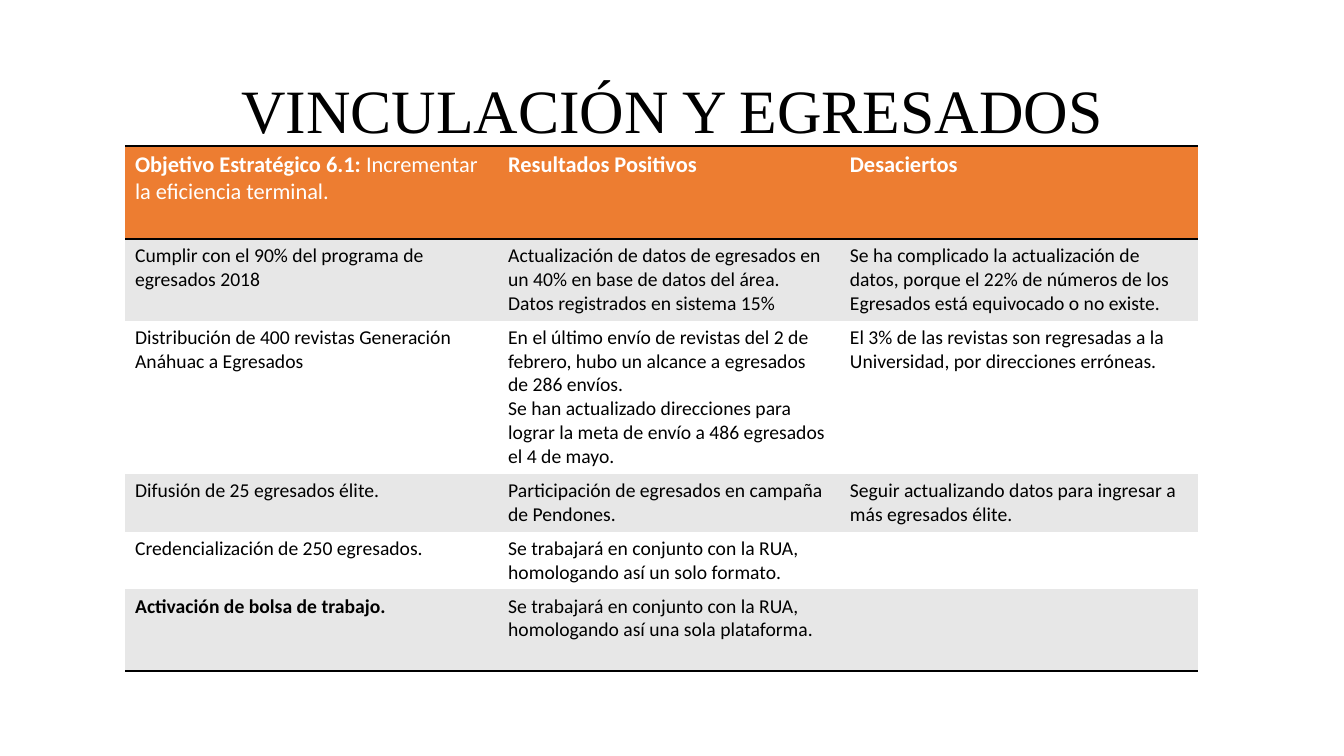
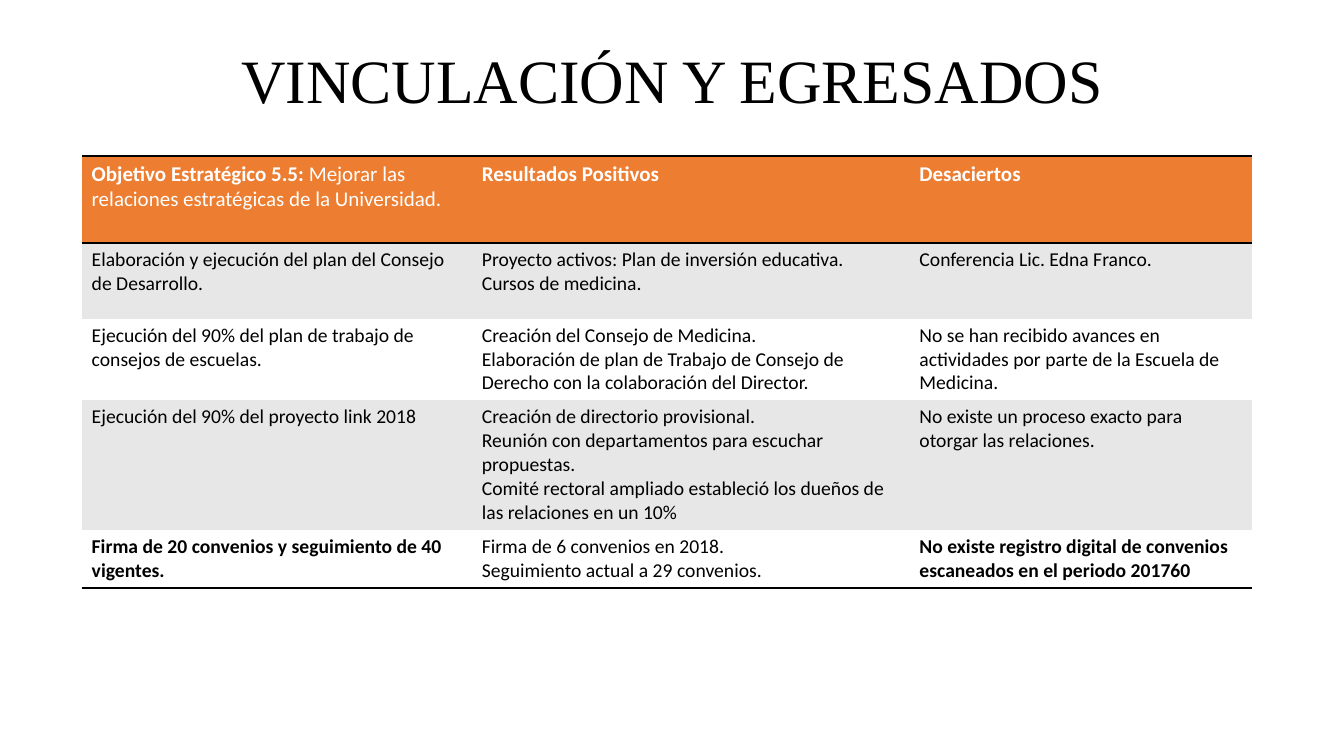
import pptx
import pptx.dml.color
import pptx.enum.text
import pptx.oxml
import pptx.oxml.ns
import pptx.util
from pptx.util import Inches

TITLE = "VINCULACIÓN Y EGRESADOS"
NO_STYLE = "{2D5ABB26-0587-4C30-8999-92F81FD0307C}"


def color(value):
    return pptx.dml.color.RGBColor.from_string(value)


class Deck:
    TITLE_FONT = "Times New Roman"
    BODY_FONT = "Calibri"
    BLACK = "000000"
    WHITE = "FFFFFF"
    ORANGE = "ED7D31"
    GRAY = "E7E7E7"

    def __init__(self):
        self.presentation = pptx.Presentation()
        self.presentation.slide_width = Inches(13.33)
        self.presentation.slide_height = Inches(7.5)
        self.slide = None

    def add_slide(self):
        layout = self.presentation.slide_layouts[5]
        self.slide = self.presentation.slides.add_slide(layout)

    def format_run(self, run, font, size, text_color, bold=False):
        run.font.name = font
        run.font.size = pptx.util.Pt(size)
        run.font.color.rgb = color(text_color)
        run.font.bold = bold

    def add_title(self, text, top):
        shape = self.slide.shapes.title
        shape.left, shape.top = Inches(0.92), Inches(top)
        shape.width, shape.height = Inches(11.5), Inches(1.45)
        text_frame = shape.text_frame
        text_frame.text = text
        text_frame.vertical_anchor = pptx.enum.text.MSO_ANCHOR.MIDDLE
        paragraph = text_frame.paragraphs[0]
        paragraph.alignment = pptx.enum.text.PP_ALIGN.CENTER
        paragraph.line_spacing = 0.9
        self.format_run(paragraph.runs[0], self.TITLE_FONT, 44, self.BLACK)

    def add_border(self, cell, side):
        properties = cell._tc.get_or_add_tcPr()
        properties.append(pptx.oxml.parse_xml(
            f'<a:ln{side} {pptx.oxml.ns.nsdecls("a")} w="{pptx.util.Pt(2)}">'
            f'<a:solidFill><a:srgbClr val="{self.BLACK}"/></a:solidFill>'
            f'</a:ln{side}>'))

    def fill_cell(self, cell, fill):
        cell.fill.solid()
        cell.fill.fore_color.rgb = color(fill)

    def write_cell(self, cell, text, size, text_color, bold):
        cell.text_frame.text = text
        for paragraph in cell.text_frame.paragraphs:
            for run in paragraph.runs:
                self.format_run(run, self.BODY_FONT, size, text_color, bold)

    def add_table(self, left, top, widths, heights, objective, header_size, rows, bold_cells):
        frame = self.slide.shapes.add_table(
            len(heights), len(widths), Inches(left), Inches(top),
            Inches(sum(widths)), Inches(sum(heights)))
        table = frame.table
        table._tbl.tblPr.find(pptx.oxml.ns.qn("a:tableStyleId")).text = NO_STYLE
        for column, width in zip(table.columns, widths):
            column.width = Inches(width)
        for row, height in zip(table.rows, heights):
            row.height = Inches(height)

        label, goal = objective
        header = [label, "Resultados Positivos", "Desaciertos"]
        for row_index, texts in enumerate([header] + rows):
            is_header = row_index == 0
            for column_index, text in enumerate(texts):
                cell = table.cell(row_index, column_index)
                if is_header:
                    self.add_border(cell, "T")
                if is_header or row_index == len(rows):
                    self.add_border(cell, "B")
                if is_header:
                    self.fill_cell(cell, self.ORANGE)
                    self.write_cell(cell, text, header_size, self.WHITE, True)
                else:
                    self.fill_cell(cell, self.GRAY if row_index % 2 else self.WHITE)
                    bold = (row_index, column_index) in bold_cells
                    self.write_cell(cell, text, 14, self.BLACK, bold)

        goal_run = table.cell(0, 0).text_frame.paragraphs[0].add_run()
        goal_run.text = goal
        self.format_run(goal_run, self.BODY_FONT, header_size, self.WHITE)

    def save(self):
        self.presentation.save("out.pptx")


def main():
    deck = Deck()

    deck.add_slide()
    deck.add_title(TITLE, 0.4)
    deck.add_table(
        1.24, 1.45, [3.7, 3.39, 3.55], [0.92, 0.81, 1.52, 0.57, 0.57, 0.81],
        ("Objetivo Estratégico 6.1: ", "Incrementar la eficiencia terminal."), 16,
        [
            ["Cumplir con el 90% del programa de egresados 2018",
             "Actualización de datos de egresados en un 40% en base de datos del área.\n"
             "Datos registrados en sistema 15%",
             "Se ha complicado la actualización de datos, porque el 22% de números de los "
             "Egresados está equivocado o no existe."],
            ["Distribución de 400 revistas Generación Anáhuac a Egresados",
             "En el último envío de revistas del 2 de febrero, hubo un alcance a egresados "
             "de 286 envíos.\n"
             "Se han actualizado direcciones para lograr la meta de envío a 486 egresados "
             "el 4 de mayo.",
             "El 3% de las revistas son regresadas a la Universidad, por direcciones erróneas."],
            ["Difusión de 25 egresados élite.",
             "Participación de egresados en campaña de Pendones.",
             "Seguir actualizando datos para ingresar a más egresados élite."],
            ["Credencialización de 250 egresados.",
             "Se trabajará en conjunto con la RUA, homologando así un solo formato.",
             ""],
            ["Activación de bolsa de trabajo.",
             "Se trabajará en conjunto con la RUA, homologando así una sola plataforma.",
             ""],
        ],
        {(5, 0)})

    deck.add_slide()
    deck.add_title(TITLE, 0.1)
    deck.add_table(
        0.81, 1.55, [3.87, 4.34, 3.4], [0.86, 0.75, 0.81, 1.29, 0.57],
        ("Objetivo Estratégico 5.5: ",
         "Mejorar las relaciones estratégicas de la Universidad."), 15,
        [
            ["Elaboración y ejecución del plan del Consejo de Desarrollo.",
             "Proyecto activos: Plan de inversión educativa.\nCursos de medicina.",
             "Conferencia Lic. Edna Franco."],
            ["Ejecución del 90% del plan de trabajo de consejos de escuelas.",
             "Creación del Consejo de Medicina.\n"
             "Elaboración de plan de Trabajo de Consejo de Derecho con la colaboración "
             "del Director.",
             "No se han recibido avances en actividades por parte de la Escuela de Medicina."],
            ["Ejecución del 90% del proyecto link 2018",
             "Creación de directorio provisional.\n"
             "Reunión con departamentos para escuchar propuestas.\n"
             "Comité rectoral ampliado estableció los dueños de las relaciones en un 10%",
             "No existe un proceso exacto para otorgar las relaciones."],
            ["Firma de 20 convenios y seguimiento de 40 vigentes.",
             "Firma de 6 convenios en 2018.\nSeguimiento actual a 29 convenios.",
             "No existe registro digital de convenios escaneados en el periodo 201760"],
        ],
        {(4, 0), (4, 2)})

    deck.save()


if __name__ == "__main__":
    main()
